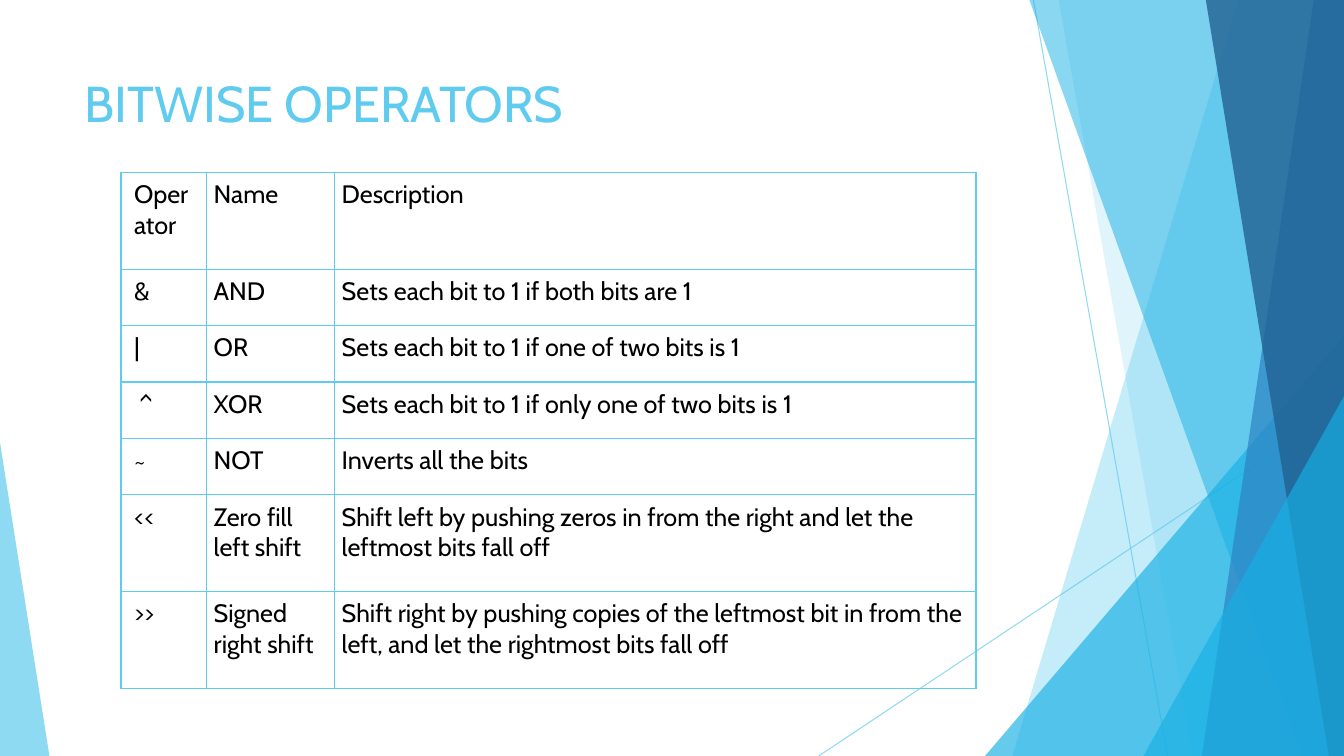
from dataclasses import dataclass

import pptx
import pptx.dml.color
import pptx.enum.shapes
import pptx.enum.text
import pptx.oxml
import pptx.oxml.ns
import pptx.oxml.xmlchemy
import pptx.util
from pptx.util import Inches


@dataclass(frozen=True)
class Theme:
    font: str = "Cabin"
    title_size: int = 36
    table_size: int = 18
    text: str = "000000"
    sky: str = "5FCBEF"
    cyan: str = "17B0E4"
    blue: str = "2E83C3"
    navy: str = "226292"


THEME = Theme()
WIDTH, HEIGHT = 13.33, 7.5

RAYS = [
    ((10.25, 0), (11.58, HEIGHT)),
    ((WIDTH, 4.03), (8.12, HEIGHT)),
]
BACK_BANDS = [
    (12.28, 10.04, THEME.sky, 36),
    (10.5, 11.83, THEME.sky, 20),
]
FRONT_BANDS = [
    (10.21, 12.91, THEME.cyan, 50),
    (13.03, 11.92, THEME.blue, 70),
    (11.96, 13.18, THEME.navy, 80),
]

OPERATORS = [
    ("Operator", "Name", "Description"),
    ("&", "AND", "Sets each bit to 1 if both bits are 1"),
    ("|", "OR", "Sets each bit to 1 if one of two bits is 1"),
    (" ^", "XOR", "Sets each bit to 1 if only one of two bits is 1"),
    ("~", "NOT", "Inverts all the bits"),
    ("<<", "Zero fill left shift",
     "Shift left by pushing zeros in from the right and let the leftmost bits fall off"),
    (">>", "Signed right shift",
     "Shift right by pushing copies of the leftmost bit in from the left, "
     "and let the rightmost bits fall off"),
]
COLUMN_WIDTHS = [0.85, 1.27, 6.36]
TALL_ROW, SHORT_ROW = 0.96, 0.56
ROW_HEIGHTS = [TALL_ROW] + [SHORT_ROW] * 4 + [TALL_ROW] * 2


def rgb(color):
    return pptx.dml.color.RGBColor.from_string(color)


def style_text(frame, size, color):
    for paragraph in frame.paragraphs:
        paragraph.alignment = pptx.enum.text.PP_ALIGN.LEFT
        for run in paragraph.runs:
            run.font.name = THEME.font
            run.font.size = pptx.util.Pt(size)
            run.font.color.rgb = rgb(color)


def set_opacity(element, percent):
    for color in element.iter(pptx.oxml.ns.qn("a:srgbClr")):
        alpha = pptx.oxml.xmlchemy.OxmlElement("a:alpha")
        alpha.set("val", str(percent * 1000))
        color.append(alpha)


def paint(shape, color, opacity):
    shape.shadow.inherit = False
    shape.line.fill.background()
    shape.fill.solid()
    shape.fill.fore_color.rgb = rgb(color)
    set_opacity(shape._element.spPr, opacity)


def add_ray(slide, start, end):
    ray = slide.shapes.add_connector(
        pptx.enum.shapes.MSO_CONNECTOR.STRAIGHT,
        *(Inches(value) for value in start + end))
    ray.line.color.rgb = rgb(THEME.sky)
    ray.line.width = pptx.util.Pt(0.75)
    properties = ray._element.spPr
    set_opacity(properties, 70)
    properties.append(pptx.oxml.xmlchemy.OxmlElement("a:effectLst"))


def add_band(slide, top_x, bottom_x, color, opacity):
    outline = slide.shapes.build_freeform(Inches(top_x), 0)
    corners = [(WIDTH, 0), (WIDTH, HEIGHT), (bottom_x, HEIGHT)]
    outline.add_line_segments([(Inches(x), Inches(y)) for x, y in corners])
    paint(outline.convert_to_shape(), color, opacity)


def add_corner(slide, left, top, width, apex, color, opacity):
    corner = slide.shapes.add_shape(
        pptx.enum.shapes.MSO_SHAPE.ISOSCELES_TRIANGLE,
        Inches(left), Inches(top), Inches(width), Inches(HEIGHT - top))
    corner.adjustments[0] = apex
    paint(corner, color, opacity)


def add_facets(slide):
    for start, end in RAYS:
        add_ray(slide, start, end)
    for band in BACK_BANDS:
        add_band(slide, *band)
    add_corner(slide, 9.77, 3.33, 3.56, 1, THEME.cyan, 66)
    for band in FRONT_BANDS:
        add_band(slide, *band)
    add_corner(slide, 11.34, 3.93, 1.99, 1, THEME.cyan, 66)
    add_corner(slide, 0, 4.39, 0.49, 0, THEME.sky, 70)


def set_title(slide, wording):
    title = slide.shapes.title
    title.left, title.top = Inches(0.74), Inches(0.67)
    title.width, title.height = Inches(9.4), Inches(1.44)
    title.text_frame.text = wording
    title.text_frame.vertical_anchor = pptx.enum.text.MSO_ANCHOR.TOP
    style_text(title.text_frame, THEME.title_size, THEME.sky)


def set_borders(cell):
    properties = cell._tc.get_or_add_tcPr()
    for position, side in enumerate(("lnL", "lnR", "lnT", "lnB")):
        border = pptx.oxml.parse_xml(
            f'<a:{side} {pptx.oxml.ns.nsdecls("a")} w="12700"><a:solidFill>'
            f'<a:srgbClr val="{THEME.sky}"/></a:solidFill></a:{side}>')
        properties.insert(position, border)


def fill_cell(cell, wording, left_margin):
    cell.fill.background()
    set_borders(cell)
    cell.margin_left = Inches(left_margin)
    cell.margin_right = cell.margin_top = cell.margin_bottom = Inches(0.07)
    cell.vertical_anchor = pptx.enum.text.MSO_ANCHOR.TOP
    cell.text_frame.text = wording
    style_text(cell.text_frame, THEME.table_size, THEME.text)


def add_operator_table(slide):
    table = slide.shapes.add_table(
        len(OPERATORS), len(COLUMN_WIDTHS), Inches(1.2), Inches(1.71),
        Inches(sum(COLUMN_WIDTHS)), Inches(sum(ROW_HEIGHTS))).table
    table.first_row = table.horz_banding = False
    for column, width in zip(table.columns, COLUMN_WIDTHS):
        column.width = Inches(width)
    for row, height, operator in zip(table.rows, ROW_HEIGHTS, OPERATORS):
        row.height = Inches(height)
        for index, wording in enumerate(operator):
            fill_cell(row.cells[index], wording, 0.13 if index == 0 else 0.07)


def main():
    presentation = pptx.Presentation()
    presentation.slide_width = Inches(WIDTH)
    presentation.slide_height = Inches(HEIGHT)
    slide = presentation.slides.add_slide(presentation.slide_layouts[5])
    add_facets(slide)
    set_title(slide, "BITWISE OPERATORS")
    add_operator_table(slide)
    presentation.save("out.pptx")


if __name__ == "__main__":
    main()
